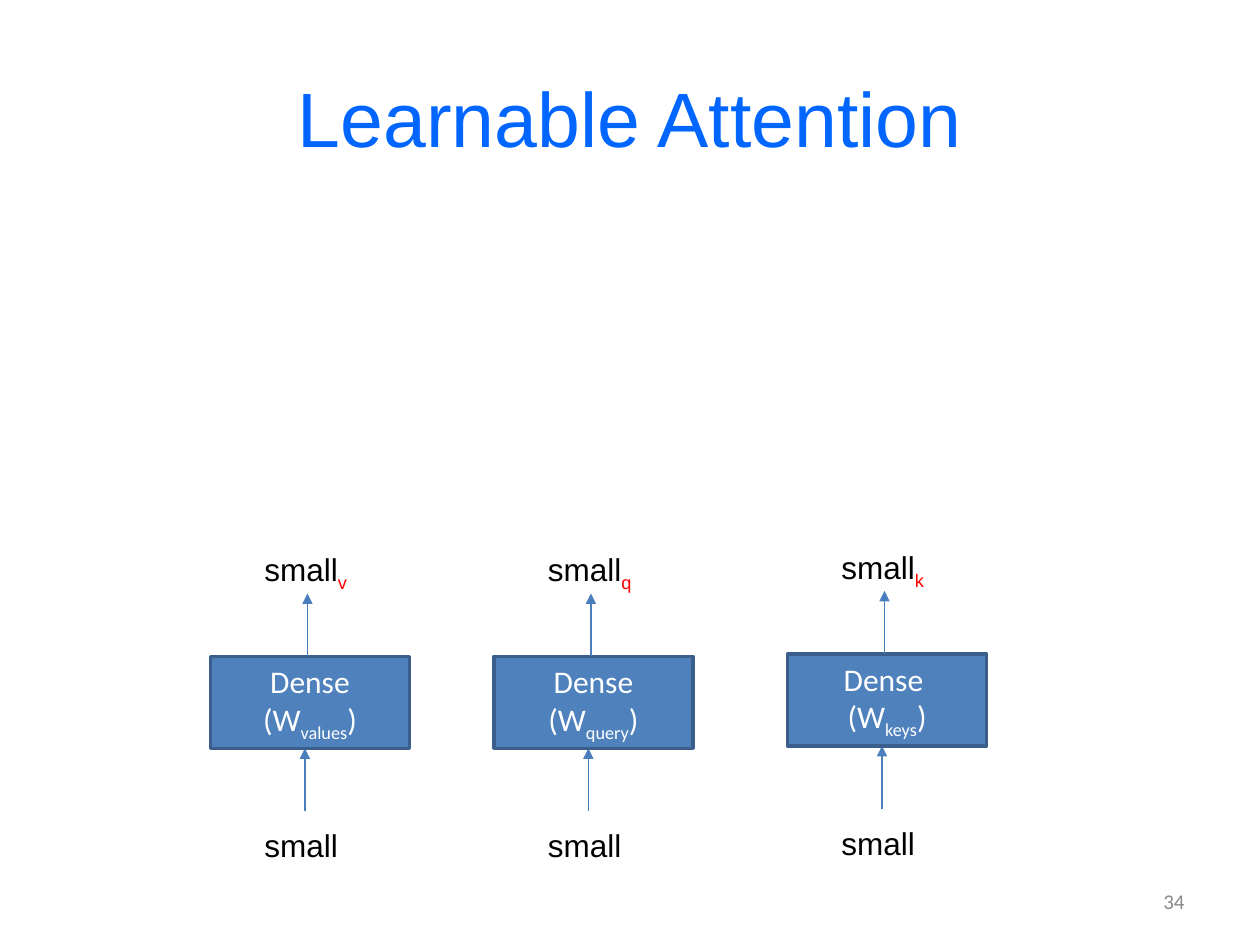
import pptx
import pptx.util
import pptx.dml.color
import pptx.enum.shapes
import pptx.enum.text
import pptx.oxml
import pptx.oxml.ns

Inches = pptx.util.Inches
Pt = pptx.util.Pt
ALIGN = pptx.enum.text.PP_ALIGN
ANCHOR = pptx.enum.text.MSO_ANCHOR
FIT = pptx.enum.text.MSO_AUTO_SIZE
BLUE, EDGE, ARROW = "4F81BD", "3A5F8C", "4B7EBC"
BLACK, WHITE, RED = "000000", "FFFFFF", "FF0000"
BOX_W, BOX_H, GAP = 1.58, 0.73, 0.5


def color(hue):
    return pptx.dml.color.RGBColor.from_string(hue)


def add_run(para, text, size, face, hue, sub=False):
    run = para.add_run()
    run.text = text
    run.font.size = Pt(size)
    run.font.name = face
    run.font.color.rgb = color(hue)
    if sub:
        run._r.get_or_add_rPr().set("baseline", "-25000")


def add_text(slide, left, top, width, height, align, anchor):
    box = slide.shapes.add_textbox(
        Inches(left), Inches(top), Inches(width), Inches(height))
    frame = box.text_frame
    frame.word_wrap = True
    frame.vertical_anchor = anchor
    frame.paragraphs[0].alignment = align
    return frame


def add_label(slide, left, top, width, sub=""):
    frame = add_text(slide, left, top, width, 0.4, ALIGN.LEFT, ANCHOR.TOP)
    frame.word_wrap = False
    frame.auto_size = FIT.SHAPE_TO_FIT_TEXT
    para = frame.paragraphs[0]
    add_run(para, "small", 18, "Arial", BLACK)
    if sub:
        add_run(para, sub, 18, "Arial", RED, sub=True)


def add_dense(slide, left, top, lines, sub):
    box = slide.shapes.add_shape(
        pptx.enum.shapes.MSO_SHAPE.RECTANGLE,
        Inches(left), Inches(top), Inches(BOX_W), Inches(BOX_H))
    box.shadow.inherit = False
    box.fill.solid()
    box.fill.fore_color.rgb = color(BLUE)
    box.line.color.rgb = color(EDGE)
    box.line.width = Pt(2)
    frame = box.text_frame
    frame.word_wrap = True
    frame.vertical_anchor = ANCHOR.MIDDLE
    for row, text in enumerate(lines):
        para = frame.add_paragraph() if row else frame.paragraphs[0]
        para.alignment = ALIGN.CENTER
        add_run(para, text, 18, "Calibri", WHITE)
    add_run(para, sub, 18, "Calibri", WHITE, sub=True)
    add_run(para, ")", 18, "Calibri", WHITE)


def add_arrow(slide, x, start):
    """Arrow that points straight up from start."""
    line = slide.shapes.add_connector(
        pptx.enum.shapes.MSO_CONNECTOR.STRAIGHT,
        Inches(x), Inches(start), Inches(x), Inches(start - GAP))
    line.line.color.rgb = color(ARROW)
    line.line.width = Pt(0.75)
    props = line._element.spPr
    space = pptx.oxml.ns.nsdecls("a")
    props.find(pptx.oxml.ns.qn("a:ln")).append(
        pptx.oxml.parse_xml("<a:tailEnd %s type='triangle'/>" % space))
    props.append(pptx.oxml.parse_xml("<a:effectLst %s/>" % space))


def add_branch(slide, left, top, lines, sub, mark):
    """Input label, dense layer and output label, stacked upwards."""
    add_arrow(slide, left + 0.75, top + BOX_H + GAP)
    add_dense(slide, left, top, lines, sub)
    add_arrow(slide, left + 0.77, top)
    add_label(slide, left + 0.33, top + 1.3, 0.79)
    add_label(slide, left + 0.33, top - 0.89, 0.88, mark)


def main():
    deck = pptx.Presentation()
    deck.slide_width, deck.slide_height = Inches(10), Inches(7.5)
    slide = deck.slides.add_slide(deck.slide_layouts[6])

    # Title and page number
    title = add_text(slide, 0.5, 0.3, 9, 1.25, ALIGN.CENTER, ANCHOR.MIDDLE)
    add_run(title.paragraphs[0], "Learnable Attention", 44, "Arial", "0066FF")
    page = add_text(slide, 7.17, 6.95, 2.33, 0.4, ALIGN.RIGHT, ANCHOR.MIDDLE)
    add_run(page.paragraphs[0], "34", 12, "Calibri", "898989")

    # The three learned projections
    for left, top, lines, sub, mark in (
        (1.67, 5.21, ["Dense (W"], "values", "v"),
        (3.92, 5.21, ["Dense (W"], "query", "q"),
        (6.25, 5.19, ["Dense ", "(W"], "keys", "k"),
    ):
        add_branch(slide, left, top, lines, sub, mark)

    deck.save("out.pptx")


if __name__ == "__main__":
    main()
